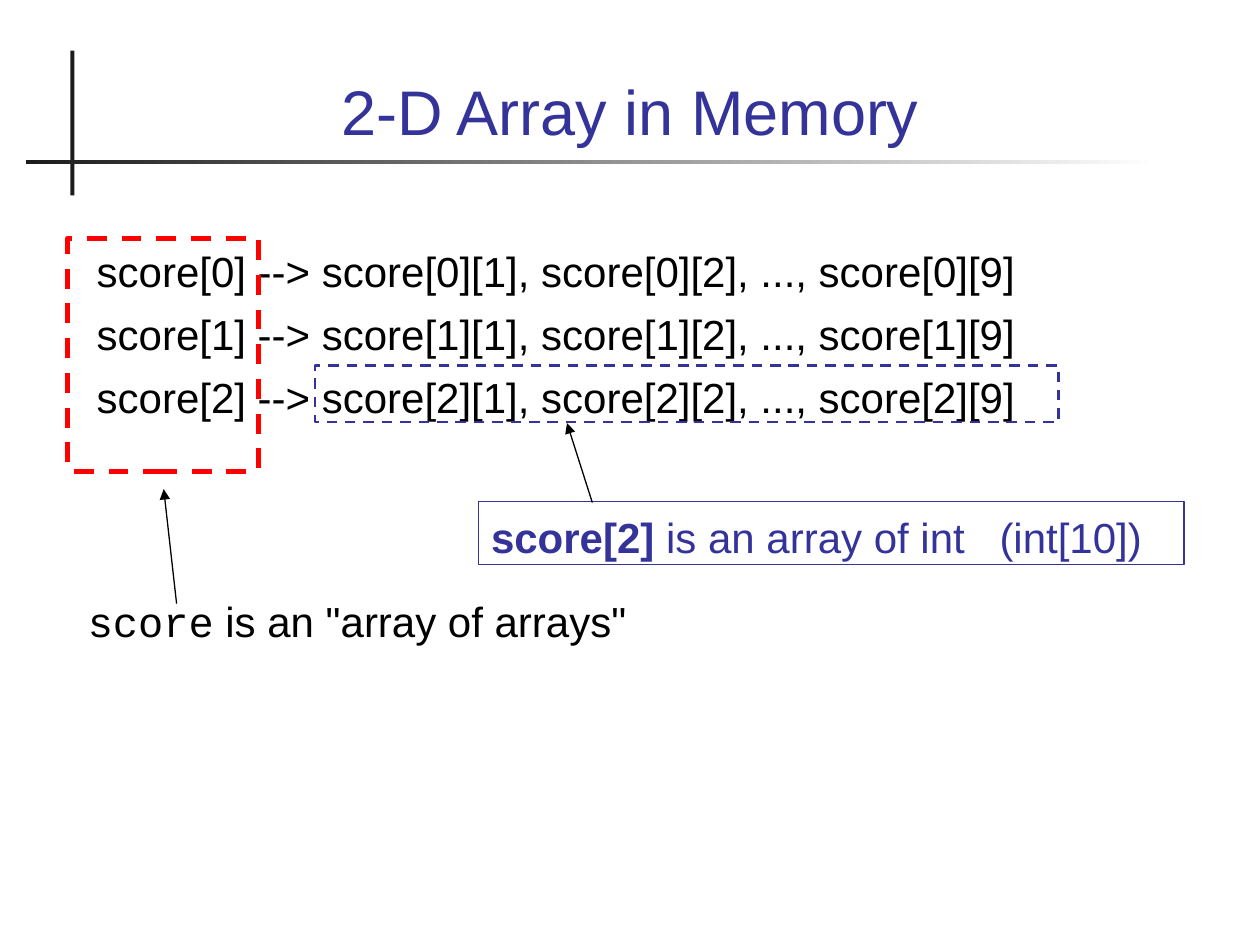
from pptx import Presentation
from pptx import util as u
from pptx.dml.color import RGBColor
from pptx.enum import dml, shapes, text
from pptx.oxml import parse_xml
from pptx.oxml.ns import nsdecls, qn
from lxml import etree

BLUE, RED, BLACK, DARK = "333399", "FF0000", "000000", "1C1C1C"


def colour(value):
    return RGBColor.from_string(value)


def apply(target, **values):
    for name, value in values.items():
        setattr(target, name, value)


def add_box(page, place, line=None, width=0.75, dash=None):
    """Unfilled rectangle with an optional outline."""
    box = page.shapes.add_shape(shapes.MSO_SHAPE.RECTANGLE, *map(u.Cm, place))
    box.shadow.inherit = False
    box.fill.background()
    if line:
        box.line.color.rgb = colour(line)
        apply(box.line, width=u.Pt(width), dash_style=dash)
    else:
        box.line.fill.background()
    return box


def write(box, paragraphs, align=text.PP_ALIGN.LEFT,
          anchor=text.MSO_ANCHOR.TOP, gap=0, tab=None):
    """Fill a box with paragraphs, each a list of (wording, format) spans."""
    frame = box.text_frame
    apply(frame, word_wrap=True, vertical_anchor=anchor)
    for number, spans in enumerate(paragraphs):
        para = frame.add_paragraph() if number else frame.paragraphs[0]
        para.alignment = align
        if number:
            para.space_before = u.Pt(gap)
        if tab:
            para._p.get_or_add_pPr().append(parse_xml(
                f'<a:tabLst {nsdecls("a")}><a:tab pos="{u.Cm(tab)}" algn="l"/></a:tabLst>'))
        for wording, style in spans:
            span = para.add_run()
            span.text = wording
            style = {"name": "Arial", "size": 24, "color": BLACK, **style}
            span.font.color.rgb = colour(style.pop("color"))
            style["size"] = u.Pt(style["size"])
            apply(span.font, **style)


def add_text(page, place, paragraphs, **layout):
    write(page.shapes.add_textbox(*map(u.Cm, place)), paragraphs, **layout)


def add_arrow(page, start, end):
    arrow = page.shapes.add_connector(
        shapes.MSO_CONNECTOR.STRAIGHT, *map(u.Cm, start + end))
    arrow.line.color.rgb = colour(BLACK)
    arrow.line.width = u.Pt(0.75)
    etree.SubElement(arrow.line._get_or_add_ln(), qn("a:tailEnd"), type="triangle")
    etree.SubElement(arrow._element.spPr, qn("a:effectLst"))


def add_title_rules(page):
    """Upright bar and a horizontal bar that fades to white."""
    upright = add_box(page, (1.42, 1.02, 0.08, 2.92))
    upright.fill.solid()
    upright.fill.fore_color.rgb = colour(DARK)
    level = add_box(page, (0.53, 3.23, 22.83, 0.08))
    level.fill.gradient()
    level.fill.gradient_angle = 0
    for stop, value in zip(level.fill.gradient_stops, (DARK, "FFFFFF")):
        stop.color.rgb = colour(value)


def main():
    deck = Presentation()
    apply(deck, slide_width=u.Cm(25.4), slide_height=u.Cm(19.05))
    page = deck.slides.add_slide(deck.slide_layouts[6])

    # Title
    add_title_rules(page)
    add_text(page, (1.7, 0.71, 22, 2.41),
             [[("2-D Array in Memory", {"size": 36, "color": BLUE})]],
             align=text.PP_ALIGN.CENTER, anchor=text.MSO_ANCHOR.BOTTOM)

    # Rows of the array
    rows = [[(f"score[{i}] --> score[{i}][1], score[{i}][2], ..., score[{i}][9]", {})]
            for i in range(3)]
    add_text(page, (1.7, 4.83, 22, 4), rows, gap=7.25)

    # Dashed frames round the row names and the last row
    dash = dml.MSO_LINE.DASH
    add_box(page, (1.37, 4.8, 3.84, 4.7), RED, 2.83, dash)
    add_box(page, (6.35, 7.37, 14.99, 1.14), BLUE, 1.5, dash)

    # Explanations
    callout = add_box(page, (9.65, 10.11, 14.22, 1.27), BLUE)
    callout.text_frame.margin_top = u.Cm(0.2)
    write(callout, [[("score[2]", {"color": BLUE, "bold": True}),
                     (" is an array of int\t(int[10])", {"color": BLUE})]], tab=10.25)
    add_text(page, (1.52, 11.88, 16.26, 1.85),
             [[("score", {"name": "Courier New"}), (' is an "array of arrays"', {})]])

    # Arrows from explanations to frames
    add_arrow(page, (3.56, 12.17), (3.3, 9.86))
    add_arrow(page, (11.94, 10.13), (11.43, 8.53))

    deck.save("out.pptx")


if __name__ == "__main__":
    main()
